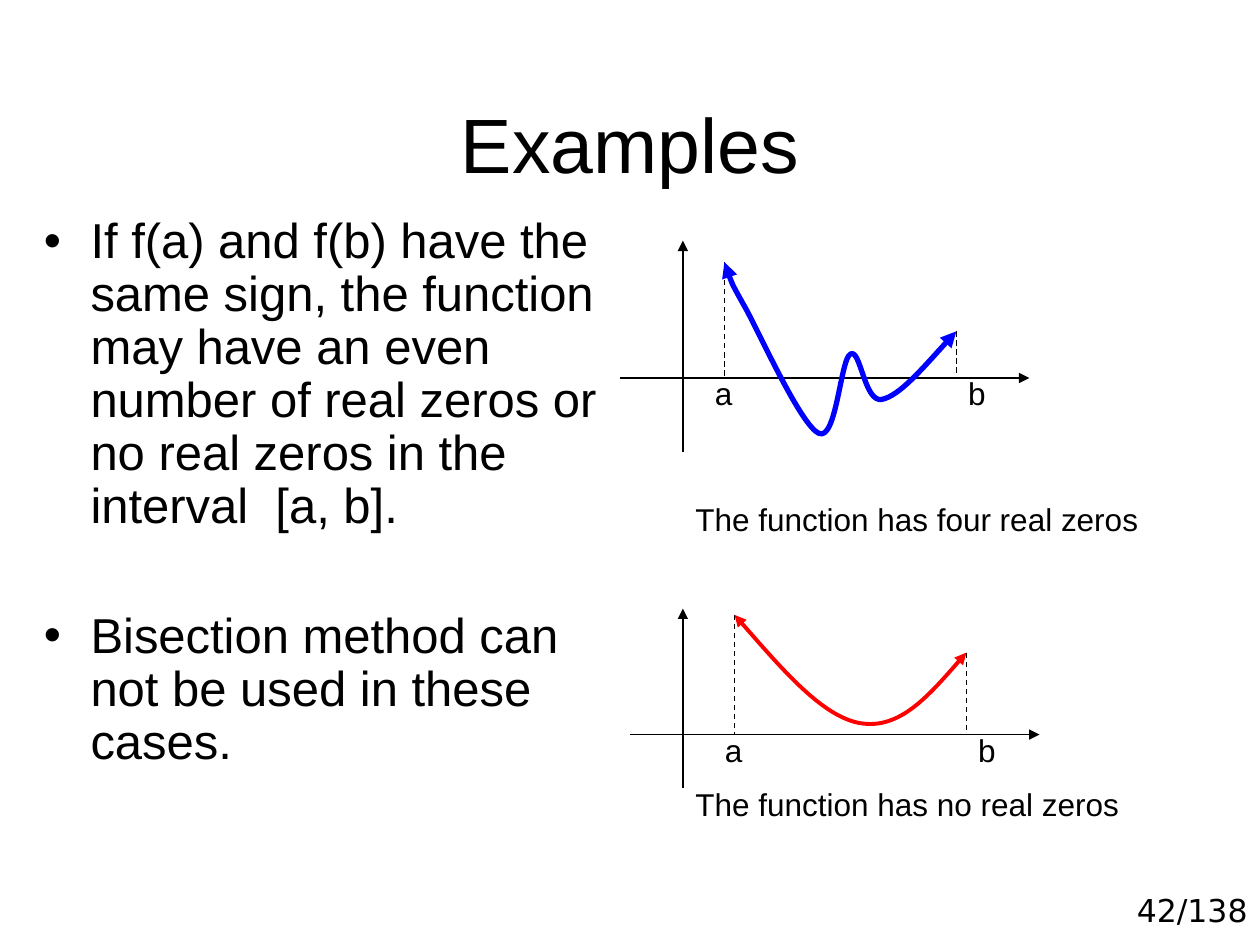
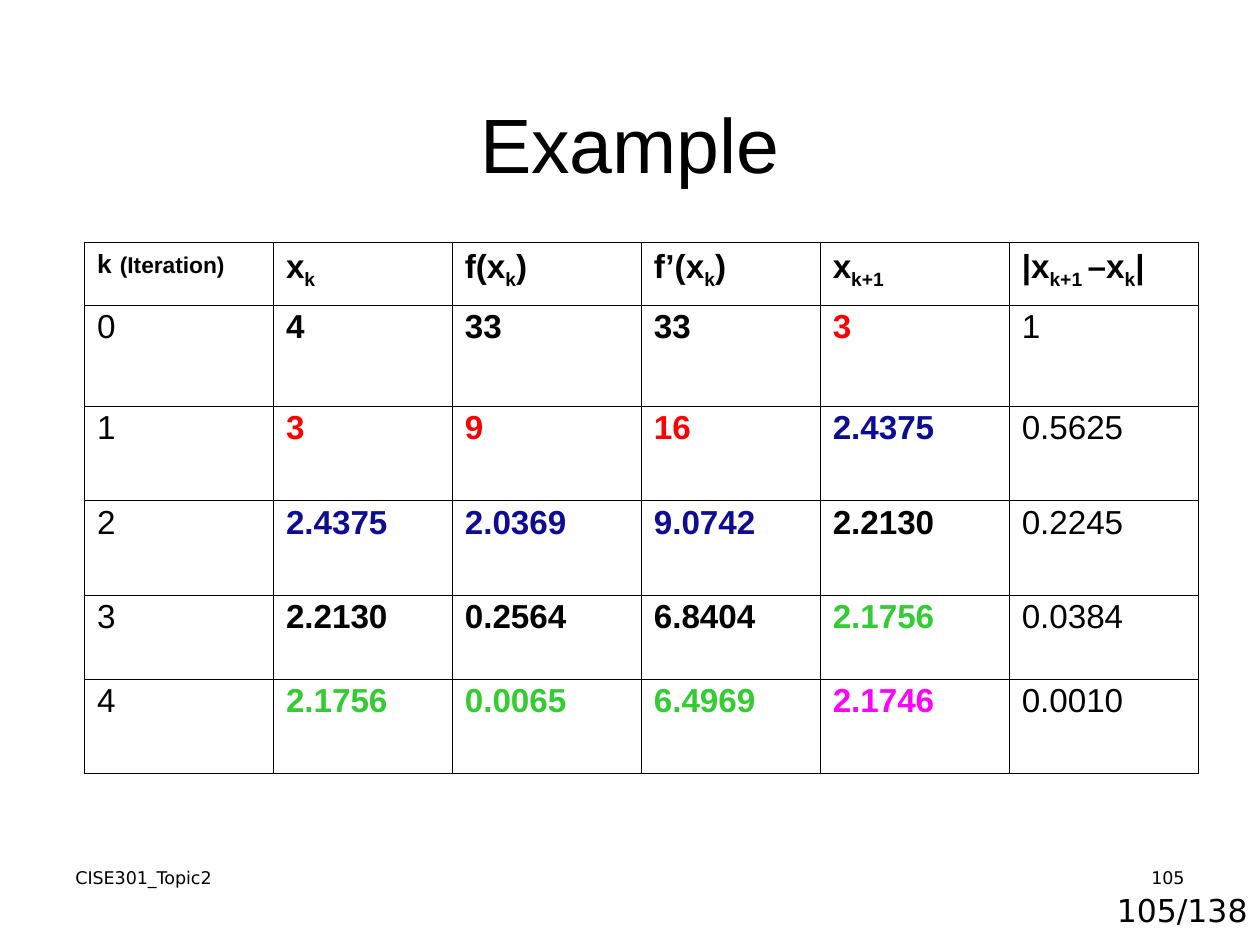
from lxml.etree import SubElement
from pptx import Presentation
from pptx.dml.color import RGBColor
from pptx.enum.dml import MSO_LINE
from pptx.enum.shapes import MSO_CONNECTOR
from pptx.enum.text import MSO_ANCHOR, PP_ALIGN
from pptx.oxml.ns import qn
from pptx.util import Inches, Pt

BLACK = RGBColor(0x00, 0x00, 0x00)
BLUE = RGBColor(0x00, 0x00, 0xFF)
RED = RGBColor(0xFF, 0x00, 0x00)
NAVY = RGBColor(0x0E, 0x0C, 0x93)
GREEN = RGBColor(0x33, 0xCC, 0x33)
MAGENTA = RGBColor(0xFF, 0x00, 0xFF)

TEXT_FONT = "Arial"
FOOTER_FONT = "DejaVu Sans"
PAGE_TOTAL = 138
POINT_A, POINT_B = 0.83, 2.67

HEADINGS = ["x~k", "f(x~k~)", "f’(x~k~)", "x~k+1", "|x~k+1 ~–x~k~|"]
ITERATIONS = [
    ["0", "4", "33", "33", "3", "1"],
    ["1", "3", "9", "16", "2.4375", "0.5625"],
    ["2", "2.4375", "2.0369", "9.0742", "2.2130", "0.2245"],
    ["3", "2.2130", "0.2564", "6.8404", "2.1756", "0.0384"],
    ["4", "2.1756", "0.0065", "6.4969", "2.1746", "0.0010"],
]
ESTIMATE_COLORS = [BLACK, RED, NAVY, BLACK, GREEN, MAGENTA]
COLUMN_WIDTHS = [1.5, 1.42, 1.5, 1.42, 1.5, 1.5]
ROW_HEIGHTS = [0.5, 0.8, 0.75, 0.75, 0.67, 0.75]

FOUR_ZEROS_CURVE = [
    (0.83, 0.17), (0.85, 0.24), (0.87, 0.31), (1, 0.54),
    (1.12, 0.76), (1.44, 1.47), (1.58, 1.53),
    (1.72, 1.59), (1.75, 0.94), (1.83, 0.9),
    (1.91, 0.85), (1.94, 1.29), (2.08, 1.26),
    (2.22, 1.23), (2.44, 0.97), (2.67, 0.72),
]
NO_ZEROS_CURVE = [
    (0.83, 0.05), (1.18, 0.45), (1.53, 0.86), (1.83, 0.91),
    (2.14, 0.96), (2.4, 0.66), (2.67, 0.35),
]


def add_span(para, text, size=18, color=BLACK, bold=False, font=TEXT_FONT, baseline=0):
    """Append one formatted run to a paragraph."""
    span = para.add_run()
    span.text = text
    span.font.size = Pt(size)
    span.font.name = font
    span.font.bold = bold
    span.font.color.rgb = color
    if baseline:
        span.font._element.set("baseline", str(baseline * 1000))


def add_text(page, box, *texts, align=PP_ALIGN.LEFT, anchor=MSO_ANCHOR.TOP, bullet=False,
             gap=0, spacing=None, **span_format):
    """Place a wrapped text box with one paragraph per text."""
    frame = page.shapes.add_textbox(*map(Inches, box)).text_frame
    frame.word_wrap = True
    frame.vertical_anchor = anchor
    for index, text in enumerate(texts):
        para = frame.add_paragraph() if index else frame.paragraphs[0]
        para.alignment = align
        para.line_spacing = spacing
        if index:
            para.space_before = Pt(gap)
        if bullet:
            properties = para._p.get_or_add_pPr()
            properties.set("marL", str(Inches(0.37)))
            properties.set("indent", str(Inches(-0.37)))
            SubElement(properties, qn("a:buFont"), typeface=TEXT_FONT)
            SubElement(properties, qn("a:buChar"), char="•")
        add_span(para, text, **span_format)


def style_line(line, color=BLACK, width=0.75, dashed=False, ends=()):
    """Set a line's colour, width, dash and arrowheads."""
    line.color.rgb = color
    line.width = Pt(width)
    if dashed:
        line.dash_style = MSO_LINE.DASH
    for end in ends:
        SubElement(line._get_or_add_ln(), qn(f"a:{end}"), type="triangle")


def add_line(page, start, finish, **line_format):
    """Draw a straight connector without a shadow."""
    ends = [Inches(value) for value in (*start, *finish)]
    connector = page.shapes.add_connector(MSO_CONNECTOR.STRAIGHT, *ends)
    style_line(connector.line, **line_format)
    SubElement(connector._element.spPr, qn("a:effectLst"))


def add_curve(page, points, color, width):
    """Draw a Bezier curve through a start point and triples of control points."""
    start, *controls = [(Inches(x), Inches(y)) for x, y in points]
    builder = page.shapes.build_freeform(*start)
    builder.add_line_segments(controls, close=False)
    curve = builder.convert_to_shape()
    curve.shadow.inherit = False
    curve.fill.background()
    style_line(curve.line, color, width, ends=("headEnd", "tailEnd"))
    outline = next(curve._element.iter(qn("a:path")))
    segments = outline.findall(qn("a:lnTo"))
    for first in range(0, len(segments), 3):
        bezier = SubElement(outline, qn("a:cubicBezTo"))
        for segment in segments[first:first + 3]:
            bezier.append(segment[0])
            outline.remove(segment)


def add_plot(page, box, axis_x, axis_y, curve, color, width, caption, caption_top):
    """Draw axes, a curve over [a, b], its end markers and a caption."""
    left, top, plot_width, plot_height = box

    def place(x, y):
        return left + x, top + y

    add_line(page, place(0, axis_y), place(plot_width, axis_y), ends=["tailEnd"])
    add_line(page, place(axis_x, plot_height), place(axis_x, 0), ends=["tailEnd"])
    markers = [("a", POINT_A, -0.42, curve[0]), ("b", POINT_B, -0.25, curve[-1])]
    for name, x, label_shift, tip in markers:
        add_line(page, place(*tip), place(x, axis_y), dashed=True)
        label = (*place(x + label_shift, axis_y - 0.08), 0.58, 0.4)
        add_text(page, label, name, align=PP_ALIGN.RIGHT)
    add_curve(page, [place(*point) for point in curve], color, width)
    add_text(page, (*place(axis_x, caption_top), 3.75, 0.4), caption)


def add_frame(deck, title, number):
    """Start a page with the shared title and page counter."""
    page = deck.slides.add_slide(deck.slide_layouts[6])
    add_text(page, (8.42, 7.02, 1.58, 0.4), f"{number}/{PAGE_TOTAL}",
             align=PP_ALIGN.RIGHT, font=FOOTER_FONT)
    add_text(page, (0.5, 0.3, 9, 1.25), title, size=44,
             align=PP_ALIGN.CENTER, anchor=MSO_ANCHOR.BOTTOM)
    return page


def add_borders(cell, row, column):
    """Rule a cell with hairlines, heavier on the table's outer edge."""
    outer = {
        "lnL": column == 0,
        "lnR": column == len(COLUMN_WIDTHS) - 1,
        "lnT": row == 0,
        "lnB": row == len(ROW_HEIGHTS) - 1,
    }
    for side, is_outer in outer.items():
        weight = Pt(0.5 if is_outer else 0.23)
        border = SubElement(cell._tc.get_or_add_tcPr(), qn(f"a:{side}"), w=str(weight))
        fill = SubElement(border, qn("a:solidFill"))
        SubElement(fill, qn("a:srgbClr"), val=str(BLACK))


def fill_heading(para, column):
    """Write a column heading, with subscripts between tildes."""
    if column == 0:
        for text, size in (("k", 15), (" ", 17), ("(Iteration)", 13)):
            add_span(para, text, size=size, bold=True)
        return
    for index, text in enumerate(HEADINGS[column - 1].split("~")):
        if text:
            add_span(para, text, size=19, bold=True, baseline=-25 * (index % 2))


def fill_value(para, step, column):
    """Write a value, coloured by the estimate that it belongs to."""
    is_estimate = 1 <= column <= 4
    color = ESTIMATE_COLORS[step + (column == 4)] if is_estimate else BLACK
    add_span(para, ITERATIONS[step][column], size=19, bold=is_estimate, color=color)


def add_iteration_table(page, left, top):
    """Build the table of iterations."""
    size = (sum(COLUMN_WIDTHS), sum(ROW_HEIGHTS))
    shape = page.shapes.add_table(len(ROW_HEIGHTS), len(COLUMN_WIDTHS),
                                  *map(Inches, (left, top, *size)))
    table = shape.table
    table.first_row = table.horz_banding = False
    for column, width in enumerate(COLUMN_WIDTHS):
        table.columns[column].width = Inches(width)
    for row, height in enumerate(ROW_HEIGHTS):
        table.rows[row].height = Inches(height)
        for column in range(len(COLUMN_WIDTHS)):
            cell = table.cell(row, column)
            add_borders(cell, row, column)
            cell.fill.background()
            para = cell.text_frame.paragraphs[0]
            para.line_spacing = 0.93
            para.space_before = Pt(4.8 if row or column else 3.3)
            if row == 0:
                fill_heading(para, column)
            else:
                fill_value(para, row - 1, column)


def add_sign_page(deck):
    """Build the page on functions with equal signs at both ends."""
    page = add_frame(deck, "Examples", 42)
    add_text(page, (0.25, 1.67, 4.75, 4.33),
             "If f(a) and f(b) have the same sign, the function may have an even "
             "number of real zeros or no real zeros in the interval  [a, b].",
             "Bisection method can not be used in these cases.",
             size=28, bullet=True, gap=44, spacing=0.9)
    add_plot(page, (4.92, 1.91, 3.25, 1.68), 0.5, 1.09, FOUR_ZEROS_CURVE, BLUE, 3,
             "The function has four real zeros", 2.01)
    add_plot(page, (5, 4.83, 3.25, 1.42), 0.42, 1, NO_ZEROS_CURVE, RED, 2.25,
             "The function has no real zeros", 1.35)


def add_iteration_page(deck):
    """Build the page with the iteration table and its footer."""
    page = add_frame(deck, "Example", 105)
    add_text(page, (0.5, 6.83, 2.33, 0.5), "CISE301_Topic2", size=10, font=FOOTER_FONT)
    add_text(page, (7.17, 6.83, 2.33, 0.5), "105", size=10, font=FOOTER_FONT,
             align=PP_ALIGN.RIGHT)
    add_iteration_table(page, 0.67, 1.92)


def main():
    """Build and save the deck."""
    deck = Presentation()
    deck.slide_width, deck.slide_height = Inches(10), Inches(7.5)
    add_sign_page(deck)
    add_iteration_page(deck)
    deck.save("out.pptx")


if __name__ == "__main__":
    main()
